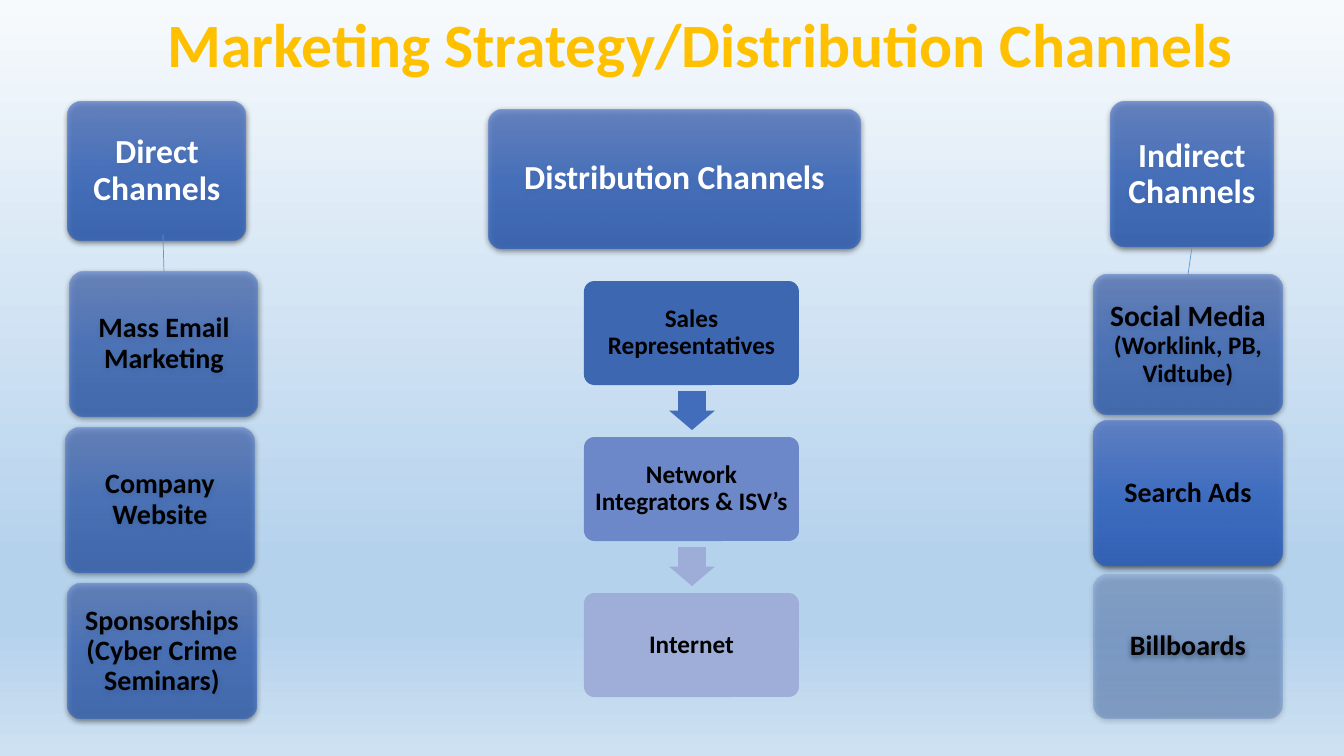
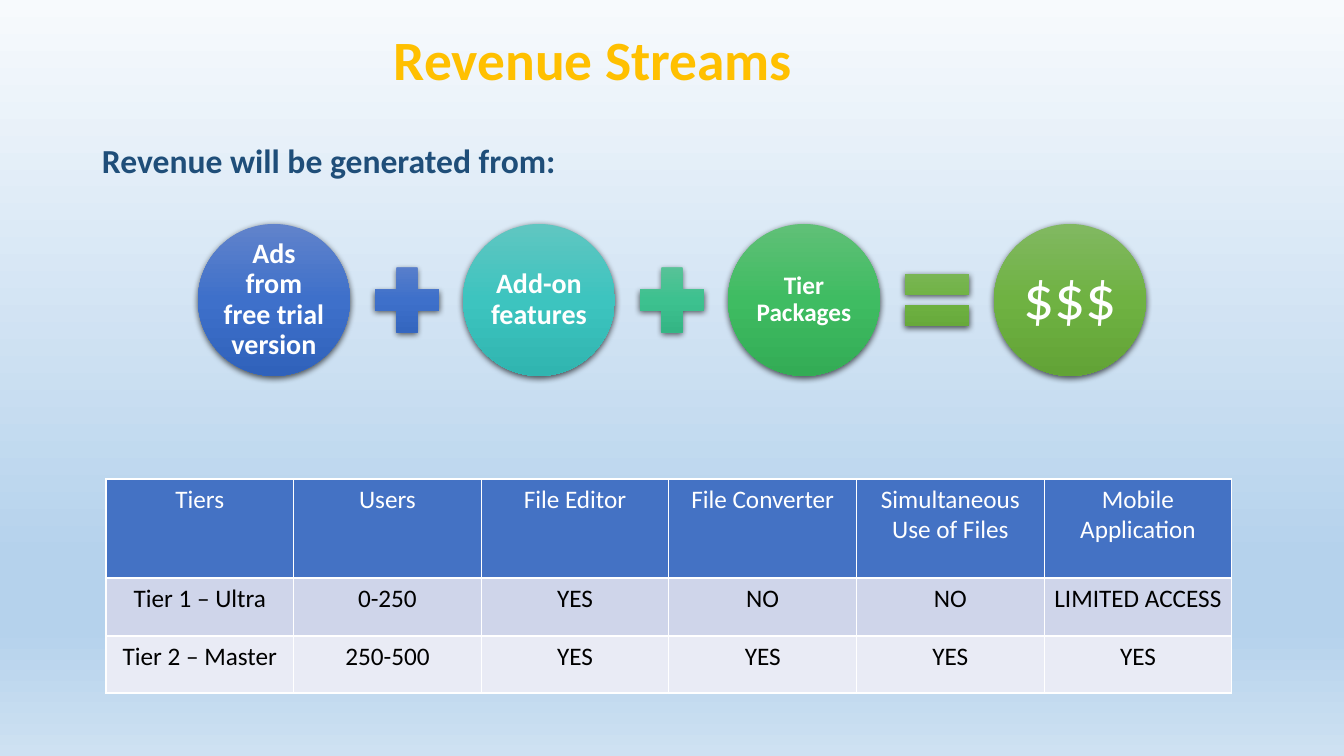
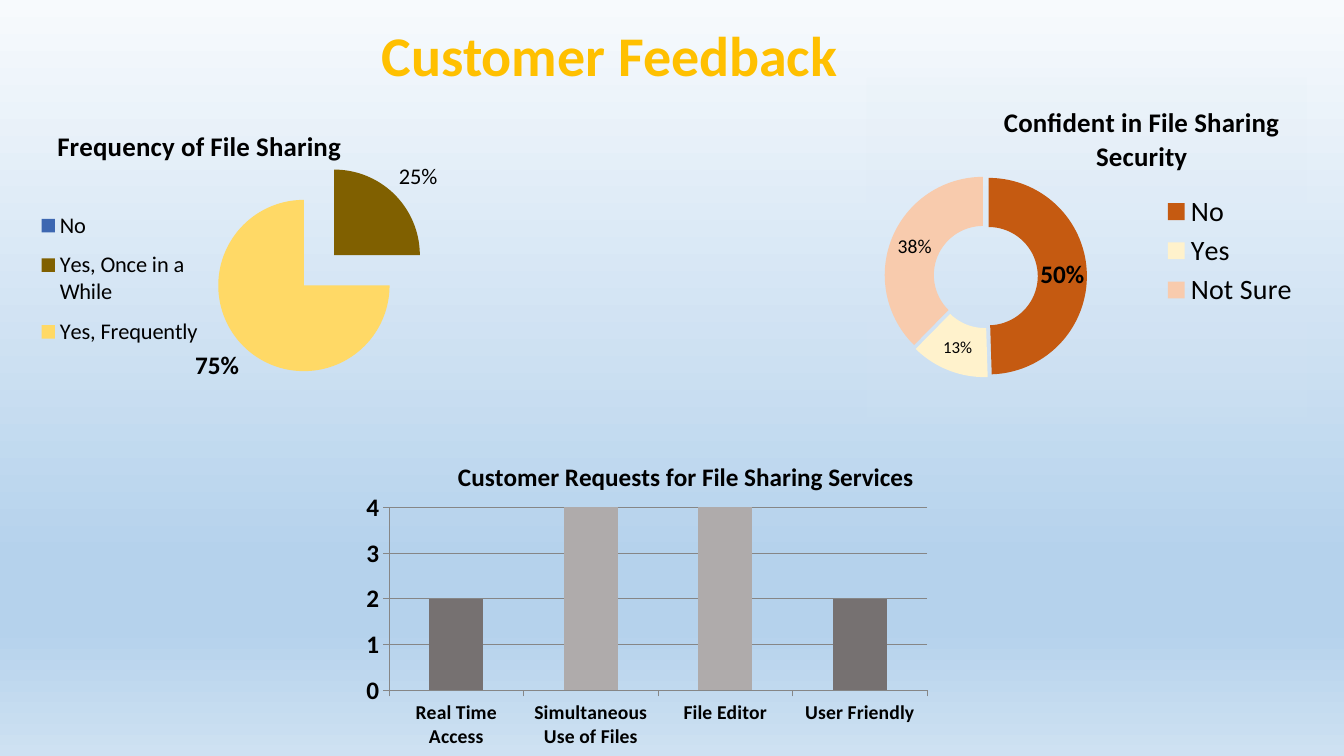
"""Build three slides on marketing channels, revenue streams and customer feedback."""
from lxml.etree import SubElement
from pptx import Presentation
from pptx.chart.data import CategoryChartData
from pptx.dml.color import RGBColor
from pptx.enum.chart import XL_CHART_TYPE as CHART, XL_LABEL_POSITION as LABEL
from pptx.enum.chart import XL_LEGEND_POSITION as LEGEND
from pptx.enum.shapes import MSO_CONNECTOR as LINE, MSO_SHAPE as SHAPE
from pptx.enum.text import MSO_ANCHOR as ANCHOR, PP_ALIGN as ALIGN
from pptx.oxml import parse_xml
from pptx.oxml.ns import nsdecls, qn
from pptx.util import Pt

PX = 914400 / 100.8
FONT = "Calibri"
COLORS = {
    "title": "FFC000", "navy": "1F4E79", "black": "000000", "white": "FFFFFF",
    "link": "5B9BD5", "grid": "868686", "header": "4472C4", "odd": "CFD5EA", "even": "E9EBF5",
    "flow1": "3E67B2", "flow2": "6C88C8", "flow3": "9FAED8", "arrow1": "416DBB", "arrow2": "9EADD8",
    "blue": "3D67B1", "olive": "806000", "gold": "FFD966", "rust": "C55A11", "cream": "FFF2CC",
    "peach": "F8CBAD", "dark": "767171", "light": "AFABAB", "panel": "DEEBF7",
}
SKY = [(0, "F7FAFD"), (74, "B5D2EC"), (83, "B5D2EC"), (100, "CEE1F2")]
BLUE, TEAL, MINT, GREEN, LEAF = [
    list(zip((0, 50, 100), tones)) for tones in (
        ("6183CB", "3E70CA", "3062BB"), ("60C6C1", "3DC4BF", "30B5B0"),
        ("60C39A", "3DC18F", "31B080"), ("60C077", "3FBC62", "33AC55"),
        ("81B861", "6FB242", "62A336"))]


def gradient(fill, element, stops, opacity=100):
    """Fill from top to bottom with the given colour stops."""
    fill.gradient()
    fill.gradient_angle = 270
    stop_list = next(element.iter(qn("a:gsLst")))
    for old in list(stop_list):
        stop_list.remove(old)
    for percent, tone in stops:
        stop = SubElement(stop_list, qn("a:gs"), pos=str(percent * 1000))
        color = SubElement(stop, qn("a:srgbClr"), val=tone)
        if opacity < 100:
            SubElement(color, qn("a:alpha"), val=str(opacity * 1000))


def write(frame, text, size, color, margin=None, bold=True, align=ALIGN.CENTER, spacing=0.9):
    """Put one formatted paragraph into a text frame."""
    frame.text = text
    if margin is not None:
        frame.word_wrap = True
        frame.vertical_anchor = ANCHOR.MIDDLE
        frame.margin_left = frame.margin_right = round(margin * PX)
        frame.margin_top = frame.margin_bottom = round(margin * PX)
    paragraph = frame.paragraphs[0]
    paragraph.alignment = align
    paragraph.line_spacing = spacing
    for run in paragraph.runs:
        run.font.name = FONT
        run.font.size = Pt(size)
        run.font.bold = bold
        run.font.color.rgb = RGBColor.from_string(COLORS[color])


prs = Presentation()
prs.slide_width, prs.slide_height = round(1344 * PX), round(756 * PX)
gradient(prs.slide_master.background.fill, prs.slide_master.element, SKY)

slides = []
for heading, size, box in (
        ("Marketing Strategy/Distribution Channels", 44, (67, 0, 1268, 95)),
        ("Revenue Streams", 39.6, (22, 27, 1142, 71)),
        ("Customer Feedback", 40, (30, 20, 1159, 77))):
    slide = prs.slides.add_slide(prs.slide_layouts[6])
    title = slide.shapes.add_textbox(*[round(n * PX) for n in box])
    write(title.text_frame, heading, size, "title", 5)
    slides.append(slide)
channels, revenue, feedback = slides

raised = []
blocks = {}
for text, size, color, margin, opacity, box in (
        ("Direct Channels", 24, "white", 10, 80, (68, 102, 178, 138)),
        ("Mass Email Marketing", 20, "black", 8, 70, (70, 272, 188, 144)),
        ("Company Website", 20, "black", 8, 70, (66, 428, 188, 144)),
        ("Sponsorships (Cyber Crime Seminars)", 20, "black", 8, 70, (68, 584, 188, 135)),
        ("Indirect Channels", 24, "white", 10, 80, (1111, 102, 162, 145)),
        ("Social Media\v(Worklink, PB, Vidtube)", 18, "black", 8, 70, (1094, 275, 188, 139)),
        ("Search Ads", 20, "black", 8, 90, (1094, 421, 188, 145)),
        ("Billboards", 20, "black", 8, 30, (1094, 575, 188, 143)),
        ("Distribution Channels", 24, "white", 10, 80, (489, 110, 371, 138))):
    block = channels.shapes.add_shape(SHAPE.ROUNDED_RECTANGLE, *[round(n * PX) for n in box])
    block.adjustments[0] = 0.1
    gradient(block.fill, block.element, BLUE, opacity)
    write(block.text_frame, text, size, color, margin)
    blocks[text.split()[0]] = block
    raised.append(block)
blocks["Social"].text_frame.paragraphs[0].runs[0].font.size = Pt(21)

for x, top, bottom, upper, lower in (
        (163, 235, 272, None, "Mass"), (1190, 247, 275, "Indirect", "Social")):
    link = channels.shapes.add_connector(
        LINE.STRAIGHT, *[round(n * PX) for n in (x, top, x, bottom)])
    if upper:
        link.begin_connect(blocks[upper], 2)
    link.end_connect(blocks[lower], 0)
    link.line.color.rgb = RGBColor.from_string(COLORS["link"])
    link.line.width = Pt(0.5)
    SubElement(link.element.spPr, qn("a:effectLst"))

for i, (text, color, arrow_color) in enumerate((
        ("Sales Representatives", "flow1", "arrow1"),
        ("Network Integrators & ISV’s", "flow2", "arrow2"),
        ("Internet", "flow3", None))):
    y = 281 + 156 * i
    step = channels.shapes.add_shape(
        SHAPE.ROUNDED_RECTANGLE, *[round(n * PX) for n in (584, y, 215, 104)])
    step.adjustments[0] = 0.1
    write(step.text_frame, text, 18, "black", 6)
    parts = [(step, color)]
    if arrow_color:
        arrow = channels.shapes.add_shape(
            SHAPE.DOWN_ARROW, *[round(n * PX) for n in (669, y + 110, 46, 39)])
        arrow.adjustments[0], arrow.adjustments[1] = 0.6, 0.5
        parts.append((arrow, arrow_color))
    for part, part_color in parts:
        part.fill.solid()
        part.fill.fore_color.rgb = RGBColor.from_string(COLORS[part_color])
        part.line.fill.background()
        part.shadow.inherit = False

intro = revenue.shapes.add_textbox(*[round(n * PX) for n in (93, 138, 479, 50)])
write(intro.text_frame, "Revenue will be generated from:", 24, "navy", 9, align=ALIGN.LEFT)

for i, (text, size, tones, sign, sign_tones) in enumerate((
        ("Ads\vfrom free trial version", 20, BLUE, SHAPE.MATH_PLUS, BLUE),
        ("Add-on features", 20, TEAL, SHAPE.MATH_PLUS, MINT),
        ("Tier Packages", 18, GREEN, SHAPE.MATH_EQUAL, LEAF),
        ("$$$", 44, LEAF, None, None))):
    x = 198 + 796 * i // 3
    source = revenue.shapes.add_shape(SHAPE.OVAL, *[round(n * PX) for n in (x, 224, 152, 152)])
    gradient(source.fill, source.element, tones)
    write(source.text_frame, text, size, "white", 2, bold=text != "$$$")
    raised.append(source)
    if sign:
        operator = revenue.shapes.add_shape(sign, *[round(n * PX) for n in (x + 165, 256, 88, 88)])
        gradient(operator.fill, operator.element, sign_tones)
        raised.append(operator)

for shape in raised:
    shape.line.fill.background()
    shape.shadow.inherit = False
    effects = shape.element.spPr.find(qn("a:effectLst"))
    shadow = SubElement(effects, qn("a:outerShdw"), blurRad="57150", dist="19050",
                        dir="5400000", algn="ctr", rotWithShape="0")
    shade = SubElement(shadow, qn("a:srgbClr"), val=COLORS["black"])
    SubElement(shade, qn("a:alpha"), val="63000")

tier_rows = (
    ("Tiers", "Users", "File Editor", "File Converter", "Simultaneous Use of Files",
     "Mobile Application"),
    ("Tier 1 – Ultra", "0-250", "YES", "NO", "NO", "LIMITED ACCESS"),
    ("Tier 2 – Master", "250-500", "YES", "YES", "YES", "YES"))
tiers = revenue.shapes.add_table(3, 6, *[round(n * PX) for n in (106, 479, 1126, 214)]).table
for r, (values, height, fill, color) in enumerate(zip(
        tier_rows, (99, 58, 57), ("header", "odd", "even"), ("white", "black", "black"))):
    tiers.rows[r].height = round(height * PX)
    for c, value in enumerate(values):
        cell = tiers.cell(r, c)
        cell.margin_left = cell.margin_right = round(8 * PX)
        write(cell.text_frame, value, 18, color, bold=False, spacing=1)
        properties = cell._tc.get_or_add_tcPr()
        for side in ("lnL", "lnR", "lnT", "lnB"):
            border = SubElement(properties, qn("a:" + side), w="12700")
            SubElement(SubElement(border, qn("a:solidFill")), qn("a:srgbClr"), val=COLORS["white"])
        cell.fill.solid()
        cell.fill.fore_color.rgb = RGBColor.from_string(COLORS[fill])

for (kind, box, name, title_size, size, categories, values, colors, labels, explosion, opacity,
     title_at, plot_at, legend_at, legend_side, legend_size) in (
        (CHART.PIE, (23, 89, 420, 336), "Frequency of File Sharing", 19.2, 16,
         ("No", "Yes, Once in a While", "Yes, Frequently"), (0, 25, 75),
         ("blue", "olive", "gold"), ((0, False), (16, False), (18, True)), 25, 0,
         (0.07, 0.1), (0.45, 0.22, 0.51, 0.64), (0.03, 0.33, 0.4, 0.47), LEGEND.LEFT, 16),
        (CHART.DOUGHNUT, (867, 78, 440, 339), "Confident in File Sharing Security", 19.2, 18,
         ("No", "Yes", "Not Sure"), (50, 13, 38),
         ("rust", "cream", "peach"), ((18, True), (12, False), (14, False)), 6, 8,
         (0.3, 0.06), (0.04, 0.25, 0.46, 0.67), (0.66, 0.33, 0.33, 0.36), LEGEND.RIGHT, 20),
        (CHART.COLUMN_CLUSTERED, (354, 429, 585, 327), "Customer Requests for File Sharing Services",
         18, 10, ("Real Time Access", "Simultaneous Use of Files", "File Editor", "User Friendly"),
         (2, 4, 4, 2), ("dark", "light", "light", "dark"), (), 0, 0,
         (0.17, 0.08), (0.06, 0.24, 0.92, 0.56), None, None, None)):
    data = CategoryChartData()
    data.categories = categories
    data.add_series(name, values)
    chart = feedback.shapes.add_chart(kind, *[round(n * PX) for n in box], data).chart
    chart.font.name = FONT
    chart.font.size = Pt(size)
    chart.font.color.rgb = RGBColor.from_string(COLORS["black"])
    write(chart.chart_title.text_frame, name, title_size, "black", spacing=1)
    chart.chart_title.include_in_layout = False
    space = chart._chartSpace
    space.find(qn("c:chart")).addnext(parse_xml(
        f'<c:spPr {nsdecls("c", "a")}><a:solidFill><a:srgbClr val="{COLORS["panel"]}">'
        f'<a:alpha val="{opacity * 1000}"/></a:srgbClr></a:solidFill>'
        '<a:ln><a:noFill/></a:ln></c:spPr>'))
    plot = chart.plots[0]
    plot.vary_by_categories = bool(labels)
    series = plot.series[0]
    for point, color in enumerate(colors):
        point_fill = series.points[point].format.fill
        point_fill.solid()
        point_fill.fore_color.rgb = RGBColor.from_string(COLORS[color])

    chart.has_legend = bool(labels)
    if labels:
        chart.legend.position = legend_side
        chart.legend.include_in_layout = False
        chart.legend.font.size = Pt(legend_size)
        burst = parse_xml(f'<c:explosion {nsdecls("c")} val="{explosion}"/>')
        series._element.find(qn("c:dPt")).addprevious(burst)
        series.data_labels.show_percentage = True
        series.data_labels.show_value = False
        for point, (label_size, bold) in enumerate(labels):
            label = series.points[point].data_label
            label.font.size = Pt(label_size or size)
            label.font.bold = bold
            if kind == CHART.PIE:
                label.position = LABEL.OUTSIDE_END
        for label_xml, (label_size, bold) in zip(series._element.iter(qn("c:dLbl")), labels):
            label_xml.find(qn("c:showVal")).set("val", "0")
            label_xml.find(qn("c:showPercent")).set("val", "1" if label_size else "0")
        for hole in space.iter(qn("c:holeSize")):
            hole.set("val", "36")
    else:
        plot.gap_width = 150
        chart.value_axis.minimum_scale, chart.value_axis.maximum_scale = 0, 4
        chart.value_axis.major_unit = 1
        for axis, axis_size in ((chart.category_axis, 14), (chart.value_axis, 18)):
            axis.tick_labels.font.size = Pt(axis_size)
            axis.tick_labels.font.bold = True
            axis.format.line.color.rgb = RGBColor.from_string(COLORS["grid"])
        grid = chart.value_axis.major_gridlines.format.line
        grid.color.rgb = RGBColor.from_string(COLORS["grid"])

    for tag, place, index in (
            ("c:title", title_at, 1), ("c:plotArea", plot_at, 0), ("c:legend", legend_at, 1)):
        if place is None:
            continue
        area = next(space.iter(qn(tag)))
        for old in area.findall(qn("c:layout")):
            area.remove(old)
        layout = parse_xml(f'<c:layout {nsdecls("c")}><c:manualLayout/></c:layout>')
        area.insert(index, layout)
        if tag == "c:plotArea":
            SubElement(layout[0], qn("c:layoutTarget"), val="inner")
        for mode in ("xMode", "yMode"):
            SubElement(layout[0], qn("c:" + mode), val="edge")
        for key, share in zip("xywh", place):
            SubElement(layout[0], qn("c:" + key), val=str(share))

prs.save("out.pptx")
